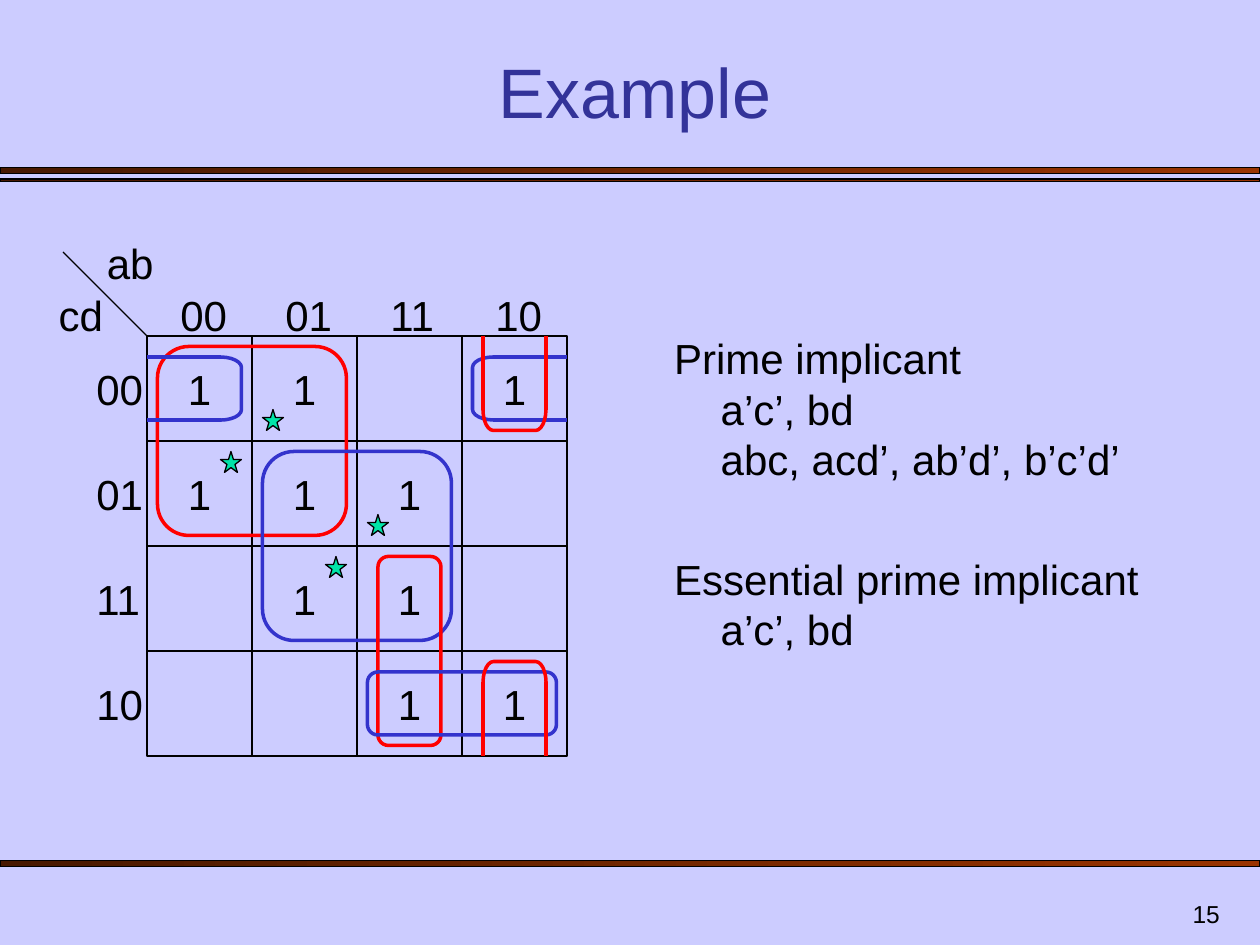
from dataclasses import dataclass
from math import cos, radians, sin

from lxml import etree
from pptx import Presentation
from pptx.dml.color import RGBColor
from pptx.enum.shapes import MSO_CONNECTOR, MSO_SHAPE
from pptx.enum.text import MSO_ANCHOR, MSO_AUTO_SIZE, PP_ALIGN
from pptx.oxml.ns import qn
from pptx.util import Inches, Pt

RECTANGLE = MSO_SHAPE.RECTANGLE
ROUNDED = MSO_SHAPE.ROUNDED_RECTANGLE
BRACKET = MSO_SHAPE.LEFT_BRACKET
STAR = MSO_SHAPE.STAR_5_POINT
STRAIGHT = MSO_CONNECTOR.STRAIGHT
TOP, MIDDLE, BOTTOM = MSO_ANCHOR.TOP, MSO_ANCHOR.MIDDLE, MSO_ANCHOR.BOTTOM
LEFT, CENTER, RIGHT = PP_ALIGN.LEFT, PP_ALIGN.CENTER, PP_ALIGN.RIGHT
FIXED = MSO_AUTO_SIZE.NONE

BLACK, RED, BLUE = "000000", "FF0000", "3333CC"
UNITS_PER_INCH = 12
CELL, MAP_LEFT, MAP_TOP = 10, 14, 32
BRACKET_WIDTH, BRACKET_HEIGHT, TAIL = 2, 6, 7
GRAY_CODE = ["00", "01", "11", "10"]
MAP_ROWS = ["11 1", "111 ", " 11 ", "  11"]


@dataclass
class Area:
    left: float
    top: float
    width: float
    height: float

    def lengths(self):
        return [Inches(n) for n in (self.left, self.top, self.width, self.height)]


@dataclass
class Loop:
    area: Area
    color: str


@dataclass
class OpenLoop:
    center_x: float
    center_y: float
    rotation: int
    color: str


@dataclass
class ImplicantList:
    area: Area
    heading: str
    terms: list[str]


def units(left: float, top: float, width: float, height: float) -> Area:
    return Area(*(n / UNITS_PER_INCH for n in (left, top, width, height)))


def rgb(color: str) -> RGBColor:
    return RGBColor.from_string(color)


def style_paragraph(para, size: float, color: str = BLACK, align=LEFT):
    para.alignment = align
    para.line_spacing = 1.0
    para.space_before = Pt(0)
    para.font.name = "Arial"
    para.font.size = Pt(size)
    para.font.color.rgb = rgb(color)


def place(box, area: Area, anchor):
    box.left, box.top, box.width, box.height = area.lengths()
    box.text_frame.word_wrap = True
    box.text_frame.auto_size = FIXED
    box.text_frame.vertical_anchor = anchor


def add_label(page, text: str, area: Area, size: float = 24, align=LEFT, anchor=TOP):
    box = page.shapes.add_textbox(*area.lengths())
    place(box, area, anchor)
    box.text_frame.text = text
    style_paragraph(box.text_frame.paragraphs[0], size, align=align)


def add_outline(page, kind, area: Area, color: str = BLACK, weight: float = 0.75):
    shape = page.shapes.add_shape(kind, *area.lengths())
    shape.shadow.inherit = False
    shape.fill.background()
    shape.line.color.rgb = rgb(color)
    shape.line.width = Pt(weight)
    return shape


def add_line(page, start: tuple, end: tuple, color: str = BLACK, weight: float = 0.75):
    ends = [Inches(n / UNITS_PER_INCH) for n in (*start, *end)]
    line = page.shapes.add_connector(STRAIGHT, *ends)
    line.line.color.rgb = rgb(color)
    line.line.width = Pt(weight)
    etree.SubElement(line._element.spPr, qn("a:effectLst"))


def add_bar(page, area: Area):
    bar = add_outline(page, RECTANGLE, area)
    bar.fill.gradient()
    bar.fill.gradient_angle = 0
    for stop, color, position in zip(bar.fill.gradient_stops, ["471800", "993300"], [0, 1]):
        stop.color.rgb = rgb(color)
        stop.position = position


def add_cell(page, row: int, column: int, value: str):
    area = units(MAP_LEFT + column * CELL, MAP_TOP + row * CELL, CELL, CELL)
    cell = add_outline(page, RECTANGLE, area)
    if value.strip():
        cell.text_frame.text = value
        cell.text_frame.vertical_anchor = MIDDLE
        style_paragraph(cell.text_frame.paragraphs[0], 24, align=CENTER)


def add_open_loop(page, loop: OpenLoop):
    half_width, half_height = BRACKET_WIDTH / 2, BRACKET_HEIGHT / 2
    area = units(loop.center_x - half_width, loop.center_y - half_height,
                 BRACKET_WIDTH, BRACKET_HEIGHT)
    bracket = add_outline(page, BRACKET, area, loop.color, 2)
    bracket.adjustments[0] = 0.5
    bracket.rotation = loop.rotation
    angle = radians(loop.rotation)

    def turned(x: float, y: float) -> tuple:
        return (loop.center_x + x * cos(angle) - y * sin(angle),
                loop.center_y + x * sin(angle) + y * cos(angle))

    for y in (-half_height, half_height):
        add_line(page, turned(half_width, y), turned(half_width + TAIL, y), loop.color, 2)


def fill_list(box, content: ImplicantList):
    place(box, content.area, TOP)
    frame = box.text_frame
    frame.text = "\n".join([content.heading, *content.terms])
    for index, para in enumerate(frame.paragraphs):
        properties = para._p.get_or_add_pPr()
        properties.set("marL", str(Inches(0.37 if index else 0)))
        properties.set("indent", "0")
        etree.SubElement(properties, qn("a:buNone"))
        style_paragraph(para, 24)


LISTS = [
    ImplicantList(Area(5.25, 2.59, 3.92, 1.3), "Prime implicant",
                  ["a’c’, bd", "abc, acd’, ab’d’, b’c’d’"]),
    ImplicantList(Area(5.25, 4.34, 4.25, 1.51), "Essential prime implicant", ["a’c’, bd"]),
]
LOOPS = [
    Loop(units(15, 33, 18, 18), RED),
    Loop(units(25, 43, 18, 18), BLUE),
    Loop(units(36, 53, 6, 18), RED),
    Loop(units(35, 64, 18, 6), BLUE),
]
OPEN_LOOPS = [
    OpenLoop(46, 37, 0, BLUE),
    OpenLoop(22, 37, 180, BLUE),
    OpenLoop(49, 64, 90, RED),
    OpenLoop(49, 40, 270, RED),
]
STARS = [(21, 43), (25, 39), (31, 53), (35, 49)]


def main():
    deck = Presentation()
    deck.slide_width, deck.slide_height = Inches(10), Inches(7.5)
    page = deck.slides.add_slide(deck.slide_layouts[3])
    page.background.fill.solid()
    page.background.fill.fore_color.rgb = rgb("CCCCFF")

    title, *bodies = page.placeholders
    place(title, Area(0.58, 0.42, 8.92, 0.68), BOTTOM)
    title.text_frame.text = "Example"
    style_paragraph(title.text_frame.paragraphs[0], 40, "333399", CENTER)
    for body, content in zip(bodies, LISTS):
        fill_list(body, content)

    for top, height in [(1.33, 0.05), (1.42, 0.02), (6.83, 0.05)]:
        add_bar(page, Area(0, top, 10, height))
    add_label(page, "15", Area(7.7, 7, 2.08, 0.42), 14, RIGHT, BOTTOM)

    add_label(page, "ab", units(9, 22, 8, 6))
    add_label(page, "cd", units(4, 27, 7, 6), align=RIGHT)
    add_line(page, (6, 24), (MAP_LEFT, MAP_TOP))
    for index, code in enumerate(GRAY_CODE):
        add_label(page, code, units(16 + index * CELL, 27, 7.2, 6))
        add_label(page, code, units(8, 34 + index * CELL, 7.2, 6))
    for row, values in enumerate(MAP_ROWS):
        for column, value in enumerate(values):
            add_cell(page, row, column, value)

    for loop in LOOPS:
        add_outline(page, ROUNDED, loop.area, loop.color, 2)
    for open_loop in OPEN_LOOPS:
        add_open_loop(page, open_loop)
    for left, top in STARS:
        star = add_outline(page, STAR, units(left, top, 2, 2))
        star.fill.solid()
        star.fill.fore_color.rgb = rgb("00E4A8")

    deck.save("out.pptx")


if __name__ == "__main__":
    main()
